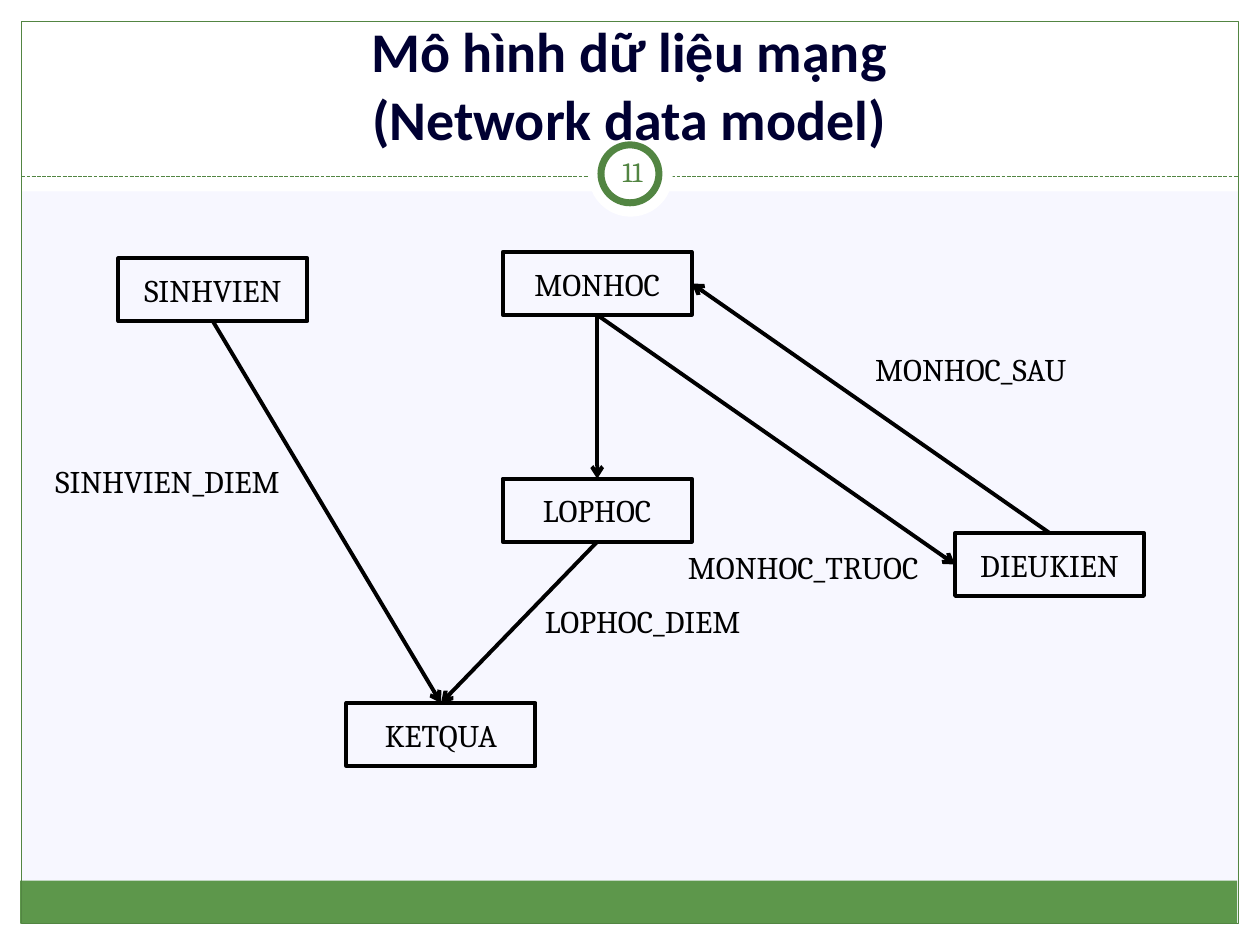
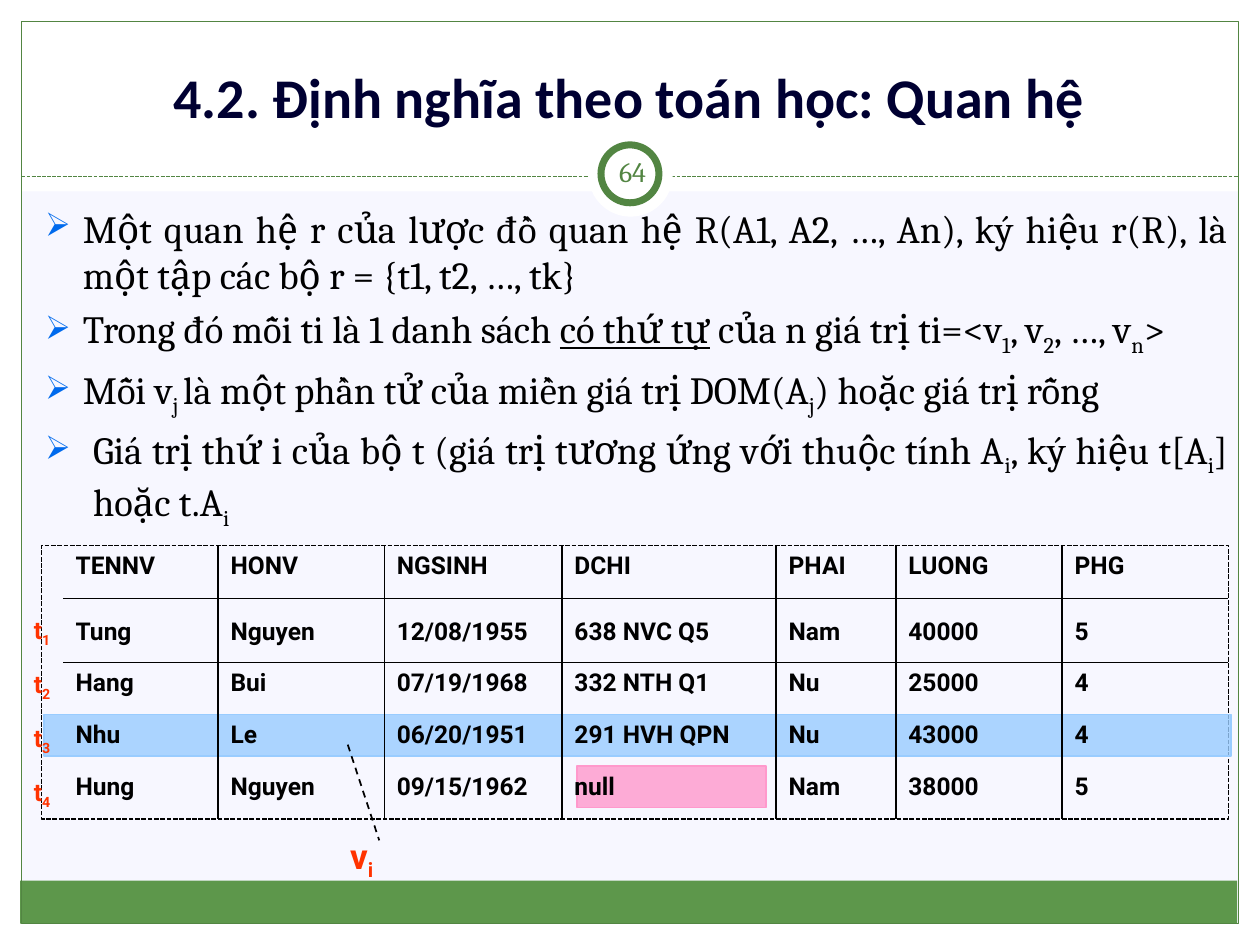
"""Build two slides on the network and relational data models."""
from dataclasses import dataclass
from typing import Any, NamedTuple

from lxml.etree import SubElement
from pptx import Presentation
from pptx.dml.color import RGBColor
from pptx.enum.dml import MSO_LINE
from pptx.enum.shapes import MSO_CONNECTOR, MSO_SHAPE
from pptx.enum.text import MSO_ANCHOR, PP_ALIGN
from pptx.oxml.ns import qn
from pptx.util import Emu, Pt

SCALE = 9144
GREEN, WHITE, BLACK, RED = "528542", "FFFFFF", "000000", "FF3300"
TOP, LEFT, FOOT, RIGHT = range(4)
PLAIN_GRID = "{2D5ABB26-0587-4C30-8999-92F81FD0307C}"


@dataclass(frozen=True)
class Style:
    """Look of a piece of text."""
    size: float
    name: str = "Cambria"
    tone: str = BLACK
    bold: bool = False
    align: Any = PP_ALIGN.LEFT
    anchor: Any = MSO_ANCHOR.TOP
    wrap: bool = True
    inset: tuple[int, int] = (10, 5)


@dataclass(frozen=True)
class Block:
    """A preset shape with fill and edge."""
    x: int
    y: int
    w: int
    h: int
    fill: str = ""
    edge: str = ""
    width: float = 1
    kind: Any = MSO_SHAPE.RECTANGLE
    dash: Any = None
    alpha: int = 100


class Node(NamedTuple):
    """A record type and the place of its box."""
    name: str
    x: int
    y: int


class Link(NamedTuple):
    """An arrow from one box side to another."""
    start: str
    side: int
    end: str
    port: int


class Label(NamedTuple):
    """A text and its frame."""
    text: str
    x: int
    y: int
    w: int
    h: int


HEAD = Style(32, "Calibri", "000032", True, PP_ALIGN.CENTER, MSO_ANCHOR.BOTTOM)
PAGE = Style(16, tone=GREEN, align=PP_ALIGN.CENTER, anchor=MSO_ANCHOR.MIDDLE, inset=(5, 5))
BOX = Style(18, align=PP_ALIGN.CENTER, anchor=MSO_ANCHOR.MIDDLE)
NAME = Style(18, align=PP_ALIGN.CENTER, wrap=False)
BODY = Style(22, align=PP_ALIGN.JUSTIFY)
CELL = Style(14, "Roboto", bold=True)
MARK = Style(14, "Roboto", RED, True)
VALUE = Style(20, "Roboto", RED, True)

FRAME = [
    Block(0, 733, 1000, 17, WHITE),
    Block(0, 0, 1000, 152, WHITE),
    Block(0, 0, 17, 750, WHITE),
    Block(983, 0, 17, 750, WHITE),
    Block(16, 699, 966, 34, "5D974B"),
    Block(17, 17, 966, 716, edge=GREEN, width=0.75),
]
RINGS = [
    Block(467, 105, 67, 67, WHITE, kind=MSO_SHAPE.OVAL),
    Block(477, 115, 46, 46, WHITE, GREEN, 4, MSO_SHAPE.OVAL),
]
NODES = [
    Node("LOPHOC", 399, 380),
    Node("SINHVIEN", 94, 205),
    Node("MONHOC", 399, 200),
    Node("KETQUA", 275, 558),
    Node("DIEUKIEN", 758, 423),
]
LINKS = [
    Link("LOPHOC", FOOT, "KETQUA", TOP),
    Link("SINHVIEN", FOOT, "KETQUA", TOP),
    Link("MONHOC", FOOT, "LOPHOC", TOP),
    Link("MONHOC", FOOT, "DIEUKIEN", LEFT),
    Link("DIEUKIEN", TOP, "MONHOC", RIGHT),
]
LABELS = [
    Label("LOPHOC_DIEM", 419, 473, 182, 40),
    Label("SINHVIEN_DIEM", 33, 362, 200, 40),
    Label("MONHOC_TRUOC", 533, 430, 209, 40),
    Label("MONHOC_SAU", 683, 273, 175, 40),
]
POINTS = [
    ("Một quan hệ r của lược đồ quan hệ R(A1, A2, …, An), ký hiệu r(R), "
     "là một tập các bộ r = {t1, t2, …, tk}", 30),
    ("Trong đó mỗi ti là 1 danh sách |*có thứ tự| của n giá trị "
     "ti=<v|_1|, v|_2|, …, v|_n|>", 30),
    ("Mỗi v|_j |là một phần tử của miền giá trị DOM(A|_j|) hoặc giá trị rỗng", 30),
    ("Giá trị thứ i của bộ t (giá trị tương ứng với thuộc tính A|_i|, "
     "ký hiệu t[A|_i|] hoặc t.A|_i", 38),
]
EDGES = [50, 173, 305, 446, 616, 711, 843, 975]
DEPTHS = [42, 51, 41, 41, 42]
ROWS = [
    ("TENNV", "HONV", "NGSINH", "DCHI", "PHAI", "LUONG", "PHG"),
    ("Tung", "Nguyen", "12/08/1955", "638 NVC Q5", "Nam", "40000", "5"),
    ("Hang", "Bui", "07/19/1968", "332 NTH Q1", "Nu", "25000", "4"),
    ("Nhu", "Le", "06/20/1951", "291 HVH QPN", "Nu", "43000", "4"),
    ("Hung", "Nguyen", "09/15/1962", "null", "Nam", "38000", "5"),
]
PANES = [
    Block(33, 433, 942, 217, edge=BLACK, width=0.9, dash=MSO_LINE.SQUARE_DOT),
    Block(458, 608, 150, 33, "FF99CC", "FF99CC", alpha=80),
    Block(35, 567, 942, 33, "99CCFF", "99CCFF", alpha=80),
]


def px(*sizes: int) -> list[Emu]:
    """Turn px into EMU."""
    return [Emu(size * SCALE) for size in sizes]


def tint(code: str) -> RGBColor:
    """Turn a hex string into a colour."""
    return RGBColor.from_string(code)


def apply(target: Any, values: dict[str, Any]) -> None:
    """Set each named value on the target."""
    for key, value in values.items():
        setattr(target, key, value)


def write(para: Any, text: str, style: Style) -> None:
    """Add runs split at bars; _ lowers a run and * underlines it."""
    para.alignment = style.align
    for piece in text.split("|"):
        sign = piece[0] if piece[0] in "_*" else ""
        for turn, line in enumerate(piece.removeprefix(sign).split("\n")):
            if turn:
                para.add_line_break()
            run = para.add_run()
            run.text = line
            apply(run.font, {"size": Pt(style.size), "name": style.name,
                             "bold": style.bold, "underline": sign == "*" or None})
            run.font.color.rgb = tint(style.tone)
            if sign == "_":
                run.font._element.set("baseline", "-25000")


def fit(frame: Any, style: Style) -> None:
    """Set the margins, anchor and wrap of a text frame."""
    side, edge = px(*style.inset)
    apply(frame, {"margin_left": side, "margin_right": side, "margin_top": edge,
                  "margin_bottom": edge, "vertical_anchor": style.anchor,
                  "word_wrap": style.wrap})


def note(slide: Any, label: Label, style: Style) -> Any:
    """Add a text box and return its frame."""
    frame = slide.shapes.add_textbox(*px(*label[1:])).text_frame
    fit(frame, style)
    if label.text:
        write(frame.paragraphs[0], label.text, style)
    return frame


def draw(slide: Any, block: Block) -> Any:
    """Add a preset shape."""
    shape = slide.shapes.add_shape(block.kind, *px(block.x, block.y, block.w, block.h))
    shape.shadow.inherit = False
    if block.fill:
        shape.fill.solid()
        shape.fill.fore_color.rgb = tint(block.fill)
        if block.alpha < 100:
            color = shape._element.spPr.find(f".//{qn('a:srgbClr')}")
            SubElement(color, qn("a:alpha"), val=str(block.alpha * 1000))
    else:
        shape.fill.background()
    if block.edge:
        shape.line.color.rgb = tint(block.edge)
        apply(shape.line, {"width": Pt(block.width), "dash_style": block.dash})
    else:
        shape.line.fill.background()
    return shape


def wire(slide: Any, ends: tuple[int, int, int, int], tone: str, width: float,
         dash: Any = None, arrow: bool = False) -> Any:
    """Add a straight line, with an arrow at its end if asked."""
    line = slide.shapes.add_connector(MSO_CONNECTOR.STRAIGHT, *px(*ends))
    line.line.color.rgb = tint(tone)
    apply(line.line, {"width": Pt(width), "dash_style": dash})
    if arrow:
        SubElement(line.line._get_or_add_ln(), qn("a:tailEnd"), type="arrow")
    SubElement(line._element.spPr, qn("a:effectLst"))
    return line


def start(deck: Any, title: Label, style: Style, page: str) -> Any:
    """Add a slide with the shared frame, title and page number."""
    slide = deck.slides.add_slide(deck.slide_layouts[6])
    slide.background.fill.solid()
    slide.background.fill.fore_color.rgb = tint("F7F7FF")
    for block in FRAME:
        draw(slide, block)
    wire(slide, (17, 140, 983, 140), GREEN, 0.75, MSO_LINE.SQUARE_DOT)
    for block in RINGS:
        draw(slide, block)
    note(slide, title, style)
    note(slide, Label(page, 477, 112, 50, 48), PAGE)
    return slide


def chart(slide: Any) -> None:
    """Draw the network of record types."""
    boxes = {}
    for node in NODES:
        shape = draw(slide, Block(node.x, node.y, 150, 50, edge=BLACK, width=2.25))
        fit(shape.text_frame, BOX)
        write(shape.text_frame.paragraphs[0], node.name, BOX)
        boxes[node.name] = shape
    for link in LINKS:
        line = wire(slide, (0, 0, 0, 0), BLACK, 2.25, arrow=True)
        line.begin_connect(boxes[link.start], link.side)
        line.end_connect(boxes[link.end], link.port)
    for label in LABELS:
        note(slide, label, NAME)


def points(slide: Any) -> None:
    """Write the bulleted text."""
    frame = note(slide, Label("", 26, 158, 958, 292), BODY)
    for turn, (text, indent) in enumerate(POINTS):
        para = frame.add_paragraph() if turn else frame.paragraphs[0]
        props = para._p.get_or_add_pPr()
        hang = indent * SCALE
        apply_indent = {"marL": hang, "indent": -hang}
        for key, value in apply_indent.items():
            props.set(key, str(value))
        color = SubElement(props, qn("a:buClr"))
        SubElement(color, qn("a:srgbClr"), val="006AED")
        SubElement(props, qn("a:buSzPct"), val="85000")
        SubElement(props, qn("a:buChar"), char="➢")
        if turn:
            para.space_before = Pt(4.4)
        write(para, text, BODY)


def rule(cell: Any, sides: dict[str, bool]) -> None:
    """Draw the wanted borders of a cell."""
    props = cell._tc.get_or_add_tcPr()
    for side, shown in sides.items():
        if shown:
            line = SubElement(props, qn(f"a:ln{side}"), w=str(Pt(1)))
            fill = SubElement(line, qn("a:solidFill"))
            SubElement(fill, qn("a:srgbClr"), val=BLACK)


def grid(slide: Any) -> None:
    """Add the table of staff."""
    last = len(EDGES) - 2
    place = px(EDGES[0], 433, EDGES[-1] - EDGES[0], sum(DEPTHS))
    table = slide.shapes.add_table(len(ROWS), last + 1, *place).table
    apply(table, {"first_row": False, "horz_banding": False})
    table._tbl.tblPr.find(qn("a:tableStyleId")).text = PLAIN_GRID
    for col, (near, far) in zip(table.columns, zip(EDGES, EDGES[1:])):
        col.width = px(far - near)[0]
    for r, (depth, words) in enumerate(zip(DEPTHS, ROWS)):
        table.rows[r].height = px(depth)[0]
        for c, word in enumerate(words):
            cell = table.cell(r, c)
            rule(cell, {"L": c > 0, "R": c < last, "T": r == 1, "B": r == 0})
            cell.fill.background()
            side, edge, gap = px(10, 5, 15)
            apply(cell, {"margin_left": side, "margin_right": 0, "margin_bottom": 0,
                         "margin_top": gap if r == 1 else edge})
            write(cell.text_frame.paragraphs[0], word, CELL)


def main() -> None:
    """Build and save the deck."""
    deck = Presentation()
    deck.slide_width, deck.slide_height = px(1000, 750)
    title = Label("Mô hình dữ liệu mạng\n(Network data model)", 33, 17, 933, 108)
    chart(start(deck, title, HEAD, "11"))
    title = Label("4.2. Định nghĩa theo toán học: Quan hệ", 33, 25, 933, 83)
    slide = start(deck, title, HEAD, "64")
    points(slide)
    for pane in PANES:
        draw(slide, pane)
    grid(slide)
    for turn in range(4):
        note(slide, Label(f"t|_{turn + 1}", 17, 483 + 43 * turn, 83, 33), MARK)
    note(slide, Label("v|_i", 268, 657, 75, 43), VALUE)
    wire(slide, (276, 591, 301, 667), BLACK, 1, MSO_LINE.DASH)
    deck.save("out.pptx")


if __name__ == "__main__":
    main()
